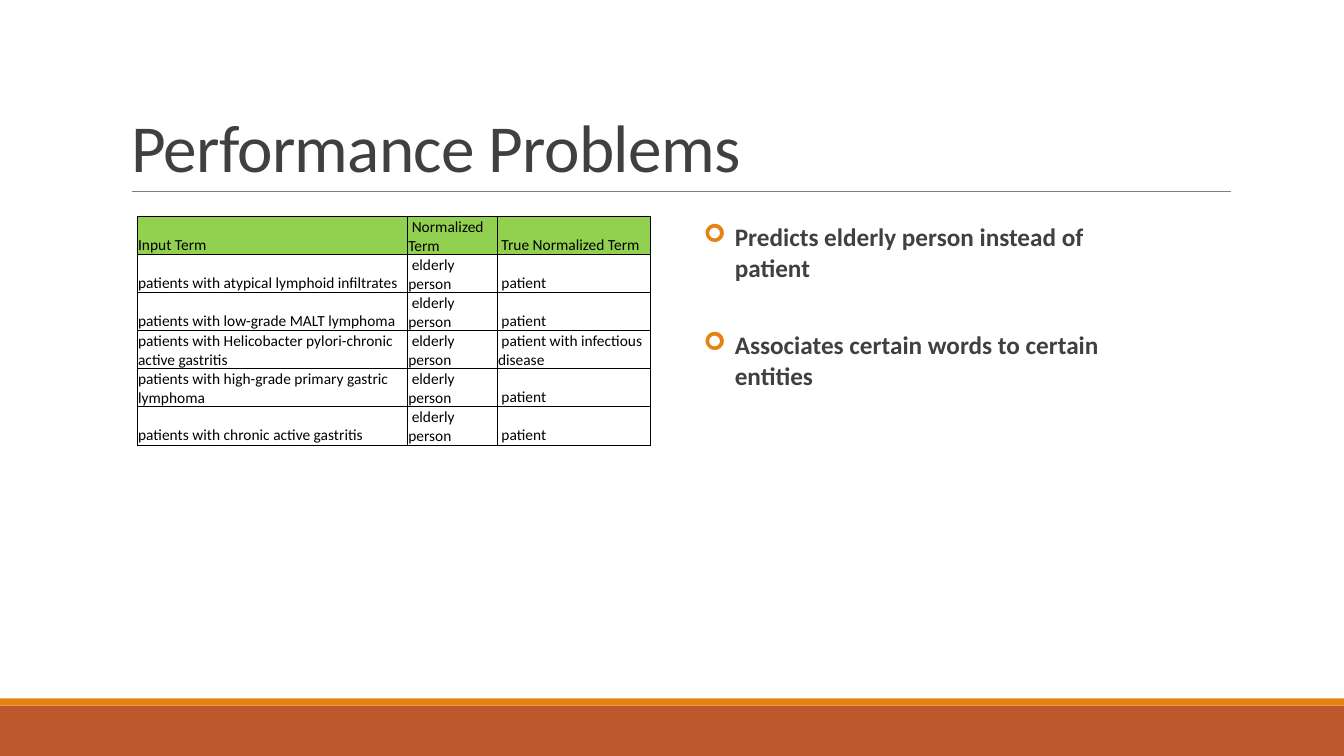
import pptx
import pptx.dml.color
import pptx.enum.shapes
import pptx.enum.text
import pptx.oxml
import pptx.oxml.ns
import pptx.util

Inches = pptx.util.Inches
Pt = pptx.util.Pt
Anchor = pptx.enum.text.MSO_ANCHOR
Align = pptx.enum.text.PP_ALIGN
Shape = pptx.enum.shapes.MSO_SHAPE

WIDTH, HEIGHT = 13.33, 7.5
THEME = {
    "font": "Calibri",
    "ink": "404040", "black": "000000", "rule": "808080",
    "orange": "E48312", "rust": "BD582C", "header": "92D050",
    "title": 48, "body": 18, "cell": 11, "hairline": 0.5,
}
NAMESPACE = pptx.oxml.ns.nsdecls("a")


def color(name):
    return pptx.dml.color.RGBColor.from_string(THEME[name])


def write(para, text, size, ink, bold=False):
    span = para.add_run()
    span.text = text
    span.font.color.rgb = color(ink)
    values = {"name": THEME["font"], "size": Pt(THEME[size]), "bold": bold}
    for key, value in values.items():
        setattr(span.font, key, value)
    return span


deck = pptx.Presentation()
deck.slide_width, deck.slide_height = Inches(WIDTH), Inches(HEIGHT)
page = deck.slides.add_slide(deck.slide_layouts[5])

# Bands along the foot of the slide
for top, height, fill in ((7, 0.5, "rust"), (6.93, 0.07, "orange")):
    band = page.shapes.add_shape(
        Shape.RECTANGLE, 0, Inches(top), Inches(WIDTH), Inches(height))
    band.shadow.inherit = False
    band.fill.solid()
    band.fill.fore_color.rgb = color(fill)
    band.line.fill.background()

# Title and the rule beneath it
title = page.shapes.title
for key, value in {"left": 1.2, "top": 0.31, "width": 11, "height": 1.59}.items():
    setattr(title, key, Inches(value))
title.text_frame.vertical_anchor = Anchor.BOTTOM
title.text_frame.auto_size = pptx.enum.text.MSO_AUTO_SIZE.NONE
para = title.text_frame.paragraphs[0]
para.alignment = Align.LEFT
para.line_spacing = 0.85
span = write(para, "Performance Problems", "title", "ink")
span.font._element.set("spc", "-50")

rule = page.shapes.add_connector(
    pptx.enum.shapes.MSO_CONNECTOR.STRAIGHT,
    Inches(1.31), Inches(1.9), Inches(12.21), Inches(1.9))
rule.line.color.rgb = color("rule")
rule.line.width = Pt(THEME["hairline"])
rule._element.spPr.append(pptx.oxml.parse_xml(f"<a:effectLst {NAMESPACE}/>"))

# Findings, as arrow bullets
findings = (
    ("Predicts elderly person instead of patient", 2),
    ("Associates certain words to certain entities", 30),
)
box = page.shapes.add_textbox(Inches(6.88), Inches(2.15), Inches(4.72), Inches(1.78))
box.text_frame.word_wrap = True
for index, (text, gap) in enumerate(findings):
    para = box.text_frame.add_paragraph() if index else box.text_frame.paragraphs[0]
    para.space_before, para.space_after = Pt(gap), Pt(4)
    write(para, text, "body", "ink", bold=True)
    properties = para._element.get_or_add_pPr()
    for key, indent in {"marL": 0.31, "indent": -0.31}.items():
        properties.set(key, str(Inches(indent)))
    for bullet in (
        f'<a:buClr {NAMESPACE}><a:srgbClr val="{THEME["orange"]}"/></a:buClr>',
        f'<a:buFont {NAMESPACE} typeface="Wingdings"/>',
        f'<a:buChar {NAMESPACE} char="➢"/>',
    ):
        properties.append(pptx.oxml.parse_xml(bullet))

# Table of predicted and true terms
rows = (
    ("Input Term", " Normalized Term", " True Normalized Term"),
    ("patients with atypical lymphoid infiltrates", " elderly person", " patient"),
    ("patients with low-grade MALT lymphoma", " elderly person", " patient"),
    ("patients with Helicobacter pylori-chronic active gastritis",
     " elderly person", " patient with infectious disease"),
    ("patients with high-grade primary gastric lymphoma",
     " elderly person", " patient"),
    ("patients with chronic active gastritis", " elderly person", " patient"),
)
widths = (2.68, 0.89, 1.52)
table = page.shapes.add_table(
    len(rows), len(widths), Inches(1.36), Inches(2.15),
    Inches(sum(widths)), Inches(2.26)).table
table.first_row = table.horz_banding = False
for column, width in zip(table.columns, widths):
    column.width = Inches(width)

cell_format = {
    "vertical_anchor": Anchor.BOTTOM, "margin_left": Inches(0.01),
    "margin_right": Inches(0.01), "margin_top": Inches(0.01), "margin_bottom": 0,
}
for row_index, row in enumerate(rows):
    for column_index, text in enumerate(row):
        cell = table.cell(row_index, column_index)
        for key, value in cell_format.items():
            setattr(cell, key, value)
        write(cell.text_frame.paragraphs[0], text, "cell", "black")
        if row_index == 0:
            cell.fill.solid()
            cell.fill.fore_color.rgb = color("header")
        else:
            cell.fill.background()
        # Borders come before the fill in the cell properties
        for position, side in enumerate(("lnL", "lnR", "lnT", "lnB")):
            cell._tc.get_or_add_tcPr().insert(position, pptx.oxml.parse_xml(
                f'<a:{side} {NAMESPACE} w="{Pt(THEME["hairline"])}"><a:solidFill>'
                f'<a:srgbClr val="{THEME["black"]}"/></a:solidFill></a:{side}>'))

deck.save("out.pptx")
